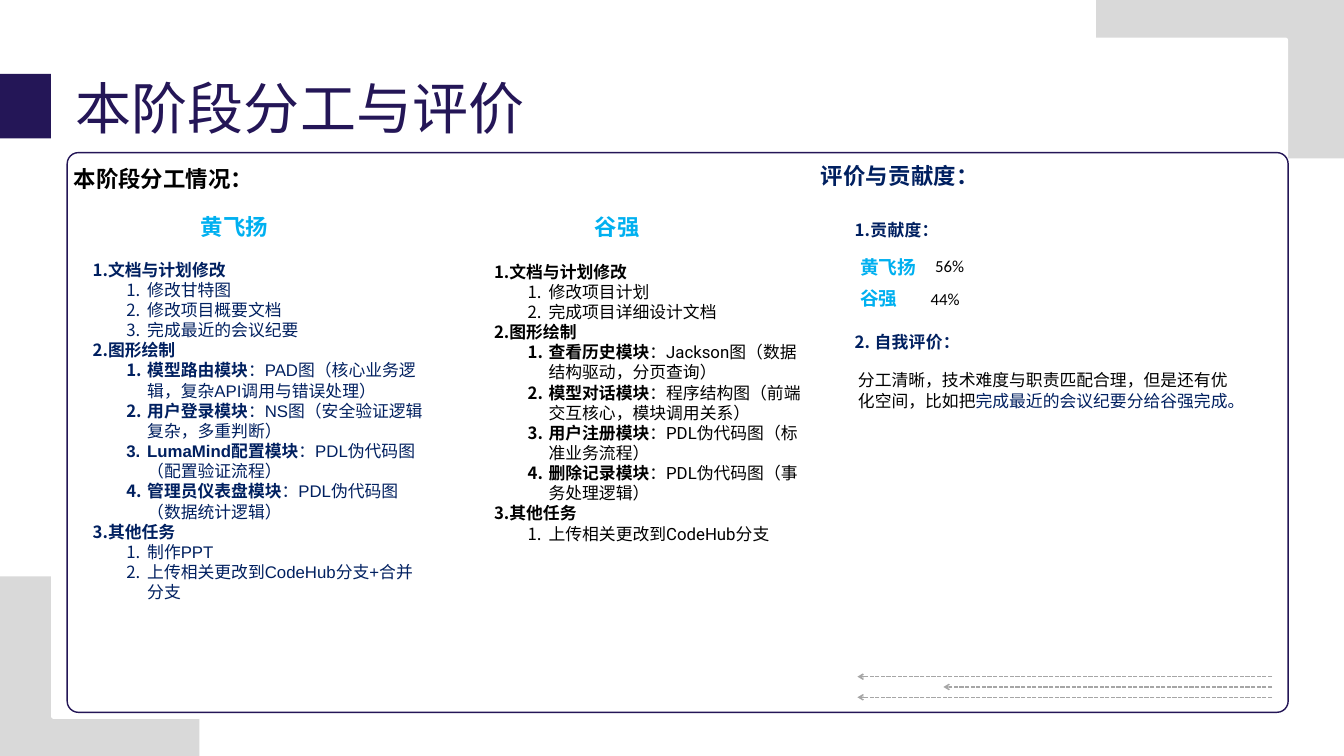
"""Build the slide on the division of work and its evaluation."""
from lxml import etree
from pptx import Presentation
from pptx.dml.color import RGBColor
from pptx.enum.dml import MSO_LINE
from pptx.enum.shapes import MSO_CONNECTOR, MSO_SHAPE
from pptx.enum.text import MSO_ANCHOR, MSO_AUTO_SIZE, PP_ALIGN
from pptx.oxml.ns import qn
from pptx.util import Cm, Pt

RECT, ROUND = MSO_SHAPE.RECTANGLE, MSO_SHAPE.ROUNDED_RECTANGLE
LINE, DASH = MSO_CONNECTOR.STRAIGHT, MSO_LINE.SQUARE_DOT
TOP, LEFT, FIXED = MSO_ANCHOR.TOP, PP_ALIGN.LEFT, MSO_AUTO_SIZE.NONE
CJK = "Noto Sans CJK SC"
NAVY, BLUE, SKY, BLACK, GRAY = "241657", "002060", "00B0F0", "000000", "D9D9D9"


def hue(code):
    """Turn a hex string into a colour."""
    return RGBColor.from_string(code)


def write(para, text, size, font, ink, bold=False):
    """Add one formatted run to a paragraph."""
    run = para.add_run()
    run.text = text
    form = {"size": Pt(size), "name": font, "bold": bold}
    for key, value in form.items():
        setattr(run.font, key, value)
    run.font.color.rgb = hue(ink)
    props = run.font._element
    etree.SubElement(props, qn("a:ea"), typeface=CJK)
    if font == CJK:
        props.set("spc", "30")
    para.space_before = Pt(0)
    para.line_spacing = Pt(size * 1.2)


deck = Presentation()
deck.slide_width, deck.slide_height = Cm(50.8), Cm(28.58)
slide = deck.slides.add_slide(deck.slide_layouts[3])
shapes = slide.shapes

panels = [
    (ROUND, (-1.83, 21.79, 9.37, 9.37), 0.05, GRAY, None),
    (ROUND, (41.43, -3.38, 11.94, 9.37), 0.04, GRAY, None),
    (RECT, (0, 2.79, 4.45, 2.44), None, NAVY, None),
    (ROUND, (1.93, 1.42, 46.76, 25.76), 0.004, "FFFFFF", None),
    (ROUND, (2.54, 5.77, 46.15, 21.16), 0.02, None, NAVY),
]
for kind, area, curve, fill, edge in panels:
    panel = shapes.add_shape(kind, *map(Cm, area))
    panel.shadow.inherit = False
    if curve:
        panel.adjustments[0] = curve
    if fill:
        panel.fill.solid()
        panel.fill.fore_color.rgb = hue(fill)
    else:
        panel.fill.background()
    if edge:
        panel.line.color.rgb = hue(edge)
        panel.line.width = Pt(1.5)
    else:
        panel.line.fill.background()

for row, end in enumerate((32.41, 35.66, 32.41)):
    high = Cm(25.58 + row * 0.39)
    arrow = shapes.add_connector(LINE, Cm(48.08), high, Cm(end), high)
    arrow.line.color.rgb = hue("A6A6A6")
    arrow.line.width = Pt(1.5)
    arrow.line.dash_style = DASH
    etree.SubElement(arrow.line._get_or_add_ln(), qn("a:tailEnd"), type="arrow")
    etree.SubElement(arrow._element.spPr, qn("a:effectLst"))

places = [(2.84, 2.36, 17.81, 2.84), (3.25, 9.68, 13.23, 12.57), (18.42, 9.75, 12.29, 11.02)]
for holder, area in zip(list(slide.placeholders), places):
    shapes._spTree.append(holder._element)
    holder.left, holder.top, holder.width, holder.height = map(Cm, area)
    frame = holder.text_frame
    form = {"auto_size": FIXED, "vertical_anchor": TOP, "word_wrap": True}
    for key, value in form.items():
        setattr(frame, key, value)

frame = shapes.title.text_frame
for side in ("left", "top", "right", "bottom"):
    setattr(frame, "margin_" + side, 0)
para = frame.paragraphs[0]
write(para, "本阶段分工与评价", 60, CJK, NAVY)
para.alignment = LEFT
para.line_spacing = Pt(84)

tasks = [
    (1, "Arial", BLUE, [
        (0, "文档与计划修改", ""),
        (1, "", "修改甘特图"),
        (1, "", "修改项目概要文档"),
        (1, "", "完成最近的会议纪要"),
        (0, "图形绘制", ""),
        (1, "模型路由模块", "：PAD图（核心业务逻辑，复杂API调用与错误处理）"),
        (1, "用户登录模块", "：NS图（安全验证逻辑复杂，多重判断）"),
        (1, "LumaMind配置模块", "：PDL伪代码图（配置验证流程）"),
        (1, "管理员仪表盘模块", "：PDL伪代码图（数据统计逻辑）"),
        (0, "其他任务", ""),
        (1, "", "制作PPT"),
        (1, "", "上传相关更改到CodeHub分支+合并分支"),
    ]),
    (2, "Roboto", BLACK, [
        (0, "文档与计划修改", ""),
        (1, "", "修改项目计划"),
        (1, "", "完成项目详细设计文档"),
        (0, "图形绘制", ""),
        (1, "查看历史模块", "：Jackson图（数据结构驱动，分页查询）"),
        (1, "模型对话模块", "：程序结构图（前端交互核心，模块调用关系）"),
        (1, "用户注册模块", "：PDL伪代码图（标准业务流程）"),
        (1, "删除记录模块", "：PDL伪代码图（事务处理逻辑）"),
        (0, "其他任务", ""),
        (1, "", "上传相关更改到CodeHub分支"),
    ]),
]
for slot, font, ink, items in tasks:
    frame = slide.placeholders[slot].text_frame
    for row, (level, strong, plain) in enumerate(items):
        para = frame.add_paragraph() if row else frame.paragraphs[0]
        para.level = level
        for text, bold in ((strong, True), (plain, False)):
            if text:
                write(para, text, 18, font, ink, bold)
        props = para._p.get_or_add_pPr()
        props.set("marL", str(Cm(2.06 * level)))
        props.set("indent", str(Cm(-0.79 * level)))
        etree.SubElement(props, qn("a:buFont"), typeface=CJK)
        etree.SubElement(props, qn("a:buAutoNum"), type="arabicPeriod")

notes = [
    ((2.54, 6.12, 27.61, 1.27), [("本阶段分工情况：", 24, "Calibri", BLACK, True)]),
    ((7.34, 7.95, 5.92, 1.27), [("黄飞扬", 24, "Calibri", SKY, True)]),
    ((22.23, 7.95, 5.92, 1.27), [("谷强", 24, "Calibri", SKY, True)]),
    ((30.76, 5.99, 6.8, 1.27), [("评价与贡献度：", 24, CJK, BLUE, True)]),
    ((32.05, 8.2, 12.47, 1.02), [("1.贡献度：", 18, CJK, BLUE, True)]),
    ((32.26, 9.53, 4.11, 1.12), [("黄飞扬", 20, "Calibri", SKY, True)]),
    ((32.26, 10.72, 4.11, 1.12), [("谷强", 20, "Calibri", SKY, True)]),
    ((35.1, 9.55, 2.54, 1.02), [("56%", 18, "Calibri", BLACK)]),
    ((34.93, 10.8, 2.54, 1.02), [("44%", 18, "Calibri", BLACK)]),
    ((32.05, 12.42, 12.47, 1.02), [("2. 自我评价：", 18, CJK, BLUE, True)]),
    ((32.18, 13.87, 14.68, 8.71), [
        ("分工清晰，技术难度与职责匹配合理，但是还有", 18, "Roboto", BLACK),
        ("优化空间，比如把", 18, "Calibri", BLACK),
        ("完成最近的会议纪要分给谷强完成。", 18, "Arial", BLUE),
    ]),
]
for area, runs in notes:
    frame = shapes.add_textbox(*map(Cm, area)).text_frame
    frame.word_wrap = True
    for run in runs:
        write(frame.paragraphs[0], *run)

deck.save("out.pptx")
